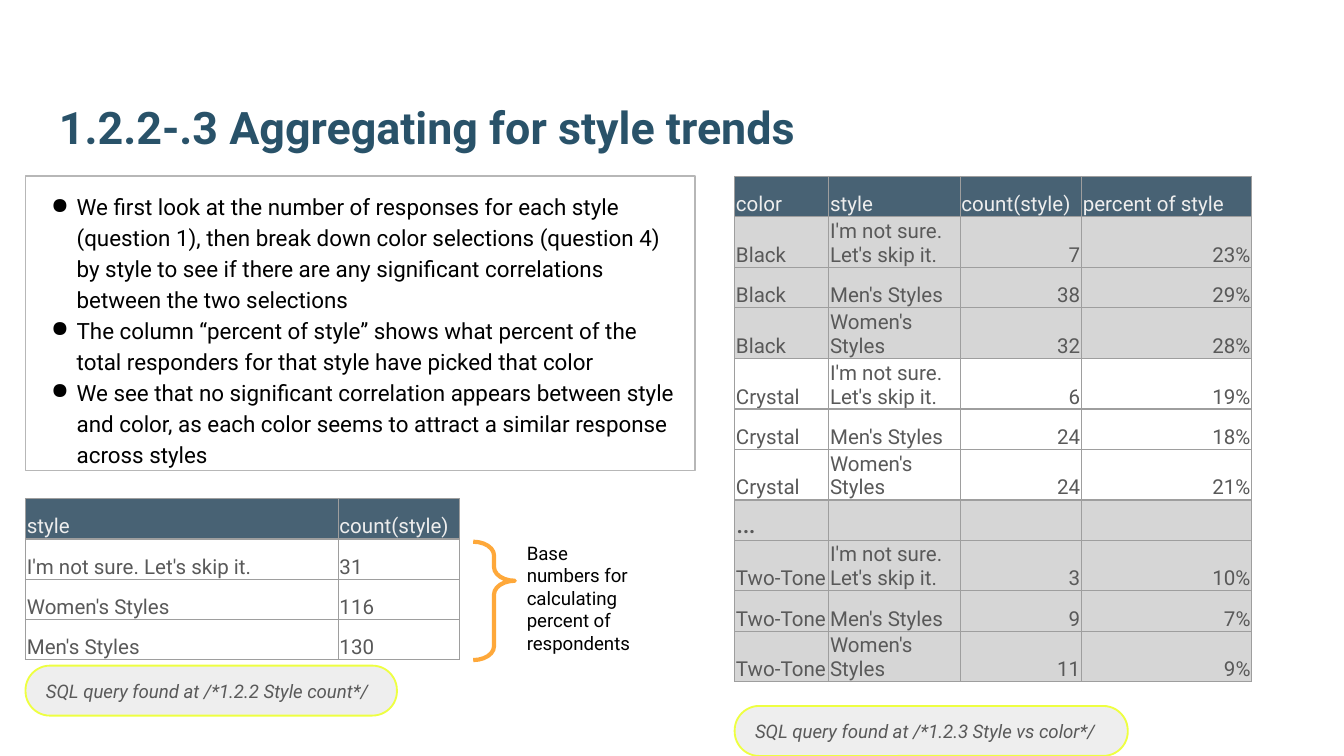
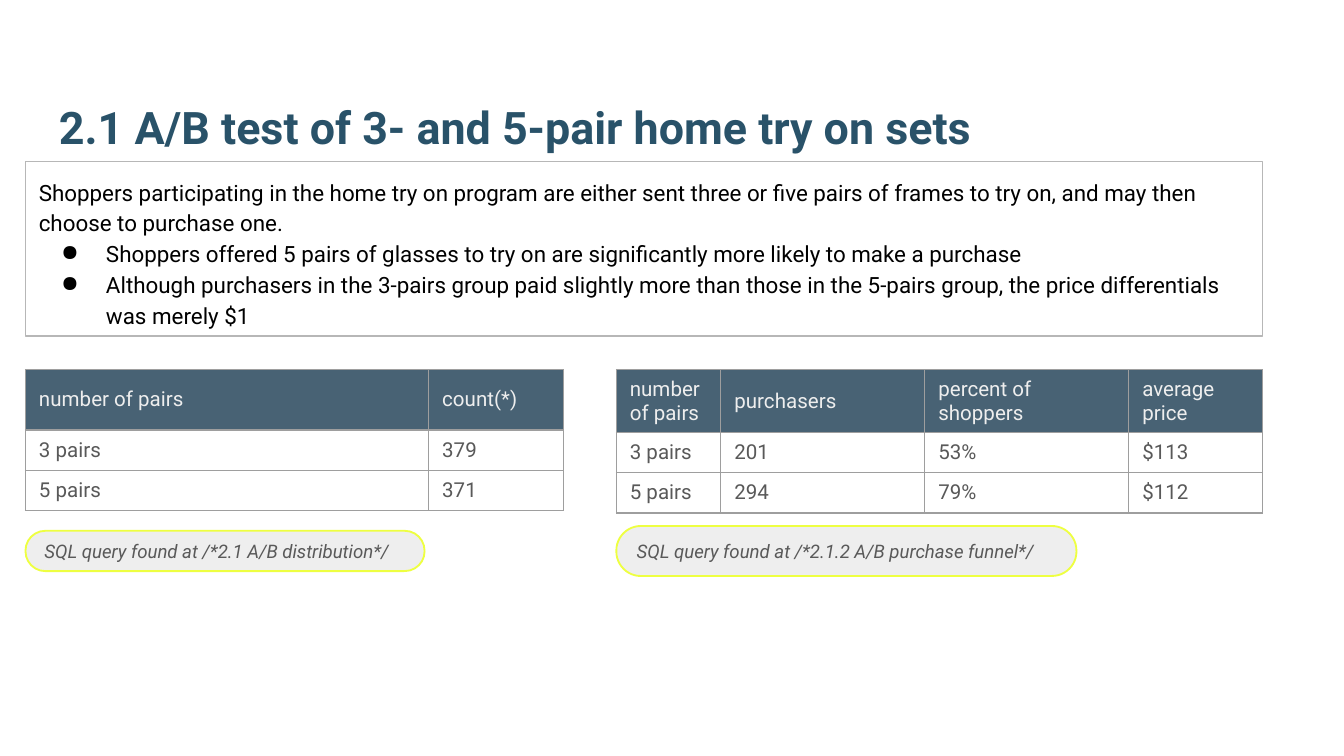
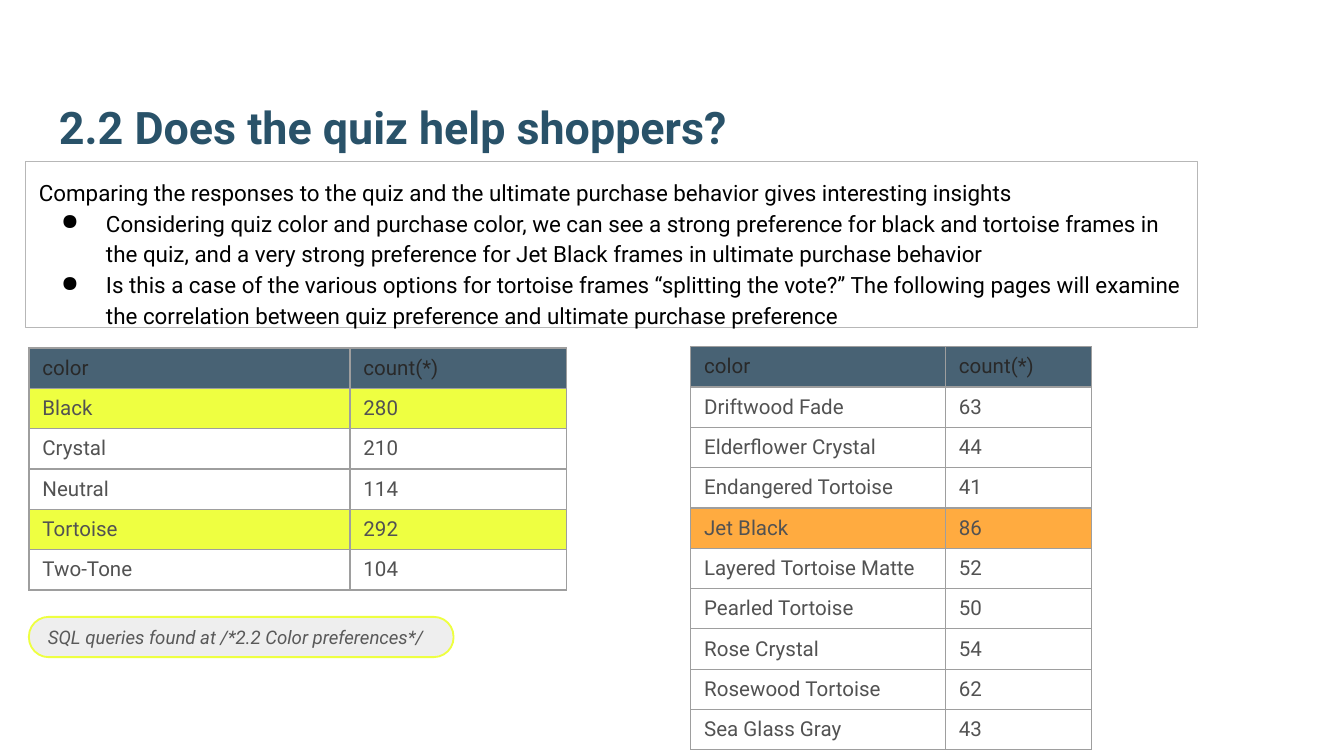
from lxml import etree
from pptx import Presentation
from pptx.dml.color import RGBColor
from pptx.enum.shapes import MSO_SHAPE
from pptx.enum.text import MSO_ANCHOR, PP_ALIGN
from pptx.oxml.ns import qn
from pptx.util import Pt

RECTANGLE = MSO_SHAPE.RECTANGLE
ROUNDED = MSO_SHAPE.ROUNDED_RECTANGLE
BRACE = MSO_SHAPE.RIGHT_BRACE
TOP, MIDDLE, BOTTOM = MSO_ANCHOR.TOP, MSO_ANCHOR.MIDDLE, MSO_ANCHOR.BOTTOM
LEFT, RIGHT = PP_ALIGN.LEFT, PP_ALIGN.RIGHT

# Shared look
FONT = "Roboto"
TITLE_BLUE = "295269"
HEADER_BLUE = "204056"
HEADER_OPACITY = "82000"
BLACK = "000000"
TEXT_GRAY = "595959"
DARK_GRAY = "525252"
HEADER_DARK = "292929"
PALE_GRAY = "EEEEEE"
BAND_GRAY = "D6D6D6"
BOX_GRAY = "B7B7B7"
GRID_GRAY = "9E9E9E"
YELLOW = "EEFF41"
ORANGE = "FFAB40"
BRACE_ORANGE = "FEA83A"

MARGIN = 13.7
ROW_HEIGHT = 21.6
TIGHT = (0.7, 0.7, 0.7, 0)
NORMAL = (7.2, 3.6, 7.2, 3.6)
ROOMY = (7.2, 7.2, 7.2, 7.2)


def rgb(color):
    return RGBColor.from_string(color)


def set_margins(target, margins):
    (target.margin_left, target.margin_top,
     target.margin_right, target.margin_bottom) = map(Pt, margins)


def style_paragraph(paragraph, size, color, bold=False, italic=False):
    font = paragraph.font
    font.name, font.size = FONT, Pt(size)
    font.bold, font.italic = bold, italic
    font.color.rgb = rgb(color)


def add_bullet(paragraph, indent, hanging):
    properties = paragraph._p.get_or_add_pPr()
    properties.set("marL", str(Pt(indent)))
    properties.set("indent", str(-Pt(hanging)))
    bullet_color = etree.SubElement(properties, qn("a:buClr"))
    etree.SubElement(bullet_color, qn("a:srgbClr"), val=BLACK)
    etree.SubElement(properties, qn("a:buChar"), char="●")


def prepare_frame(shape, margins, anchor):
    frame = shape.text_frame
    frame.word_wrap = True
    frame.vertical_anchor = anchor
    set_margins(frame, margins)
    return frame


def add_text(slide, bounds, text, size, color, margins, anchor=TOP, bold=False):
    box = slide.shapes.add_textbox(*map(Pt, bounds))
    paragraph = prepare_frame(box, margins, anchor).paragraphs[0]
    paragraph.text = text
    style_paragraph(paragraph, size, color, bold)


def add_outlined(slide, kind, bounds, line, width, fill=None):
    shape = slide.shapes.add_shape(kind, *map(Pt, bounds))
    shape.shadow.inherit = False
    shape.line.color.rgb = rgb(line)
    shape.line.width = Pt(width)
    if fill:
        shape.fill.solid()
        shape.fill.fore_color.rgb = rgb(fill)
    else:
        shape.fill.background()
    return shape


def add_body(slide, bounds, bullets, intro=None, indent=36, hanging=24, left_margin=7.2):
    box = add_outlined(slide, RECTANGLE, bounds, BOX_GRAY, 0.75)
    frame = prepare_frame(box, (left_margin, 7.2, 7.2, 7.2), TOP)
    lines = ([intro] if intro else []) + bullets
    for index, text in enumerate(lines):
        paragraph = frame.add_paragraph() if index else frame.paragraphs[0]
        paragraph.text = text
        paragraph.alignment = LEFT
        if text != intro:
            add_bullet(paragraph, indent, hanging)
        paragraph.line_spacing = 1.15
        style_paragraph(paragraph, 12, BLACK)


def add_query_note(slide, bounds, text):
    pill = add_outlined(slide, ROUNDED, bounds, YELLOW, 1, PALE_GRAY)
    pill.adjustments[0] = 0.49
    paragraph = prepare_frame(pill, NORMAL, MIDDLE).paragraphs[0]
    paragraph.text = text
    paragraph.alignment = LEFT
    style_paragraph(paragraph, 10, TEXT_GRAY, italic=True)


def add_borders(cell):
    properties = cell._tc.get_or_add_tcPr()
    for side in ("lnL", "lnR", "lnT", "lnB"):
        line = etree.SubElement(properties, qn("a:" + side), w=str(Pt(0.75)))
        fill = etree.SubElement(line, qn("a:solidFill"))
        etree.SubElement(fill, qn("a:srgbClr"), val=GRID_GRAY)


def fill_cell(cell, color, opacity=None):
    if color is None:
        cell.fill.background()
        return
    cell.fill.solid()
    cell.fill.fore_color.rgb = rgb(color)
    if opacity:
        swatch = cell._tc.tcPr.find(qn("a:solidFill")).find(qn("a:srgbClr"))
        etree.SubElement(swatch, qn("a:alpha"), val=opacity)


def add_table(slide, left, top, widths, rows, header_color=PALE_GRAY,
              text_color=TEXT_GRAY, header_height=ROW_HEIGHT, row_fills=None,
              margins=NORMAL, anchor=MIDDLE, right_columns=()):
    heights = [header_height] + [ROW_HEIGHT] * (len(rows) - 1)
    frame = slide.shapes.add_table(len(rows), len(widths), Pt(left), Pt(top),
                                   Pt(sum(widths)), Pt(sum(heights)))
    table = frame.table
    for column, width in zip(table.columns, widths):
        column.width = Pt(width)
    for row_index, values in enumerate(rows):
        table.rows[row_index].height = Pt(heights[row_index])
        for column_index, value in enumerate(values):
            cell = table.cell(row_index, column_index)
            set_margins(cell, margins)
            cell.vertical_anchor = anchor
            add_borders(cell)
            paragraph = cell.text_frame.paragraphs[0]
            paragraph.text = value
            if row_index == 0:
                fill_cell(cell, HEADER_BLUE, HEADER_OPACITY)
            else:
                fill_cell(cell, (row_fills or {}).get(row_index))
                if column_index in right_columns:
                    paragraph.alignment = RIGHT
            style_paragraph(paragraph, 16 if value == "…" else 11,
                            text_color if row_index else header_color)


def add_titled_slide(presentation, title):
    slide = presentation.slides.add_slide(presentation.slide_layouts[6])
    add_text(slide, (24.5, 23, 671, 66.2), title, 24, TITLE_BLUE, ROOMY, BOTTOM, bold=True)
    return slide


def build_style_trends(presentation):
    slide = add_titled_slide(presentation, "1.2.2-.3 Aggregating for style trends")
    add_body(slide, (MARGIN, 94.3, 358.6, 157.7), [
        "We first look at the number of responses for each style (question 1), then break down "
        "color selections (question 4) by style to see if there are any significant "
        "correlations between the two selections",
        "The column “percent of style” shows what percent of the total responders for that "
        "style have picked that color",
        "We see that no significant correlation appears between style and color, as each color "
        "seems to attract a similar response across styles",
    ], indent=13.7, hanging=13.7, left_margin=13.7)

    unsure, men, women = "I'm not sure. Let's skip it.", "Men's Styles", "Women's Styles"
    add_table(slide, MARGIN, 267.1, (167.5, 65), [
        ("style", "count(style)"),
        (unsure, "31"),
        (women, "116"),
        (men, "130"),
    ], margins=TIGHT, anchor=BOTTOM)
    add_table(slide, 393.6, 94.5, (50.4, 70.4, 65, 91.3), [
        ("color", "style", "count(style)", "percent of style"),
        ("Black", unsure, "7", "23%"),
        ("Black", men, "38", "29%"),
        ("Black", women, "32", "28%"),
        ("Crystal", unsure, "6", "19%"),
        ("Crystal", men, "24", "18%"),
        ("Crystal", women, "24", "21%"),
        ("…", "", "", ""),
        ("Two-Tone", unsure, "3", "10%"),
        ("Two-Tone", men, "9", "7%"),
        ("Two-Tone", women, "11", "9%"),
    ], row_fills=dict.fromkeys((1, 2, 3, 7, 8, 9, 10), BAND_GRAY),
        margins=TIGHT, anchor=BOTTOM, right_columns=(2, 3))

    # Brace that marks the base numbers
    brace = add_outlined(slide, BRACE, (253.5, 290.2, 22.3, 63.4), BRACE_ORANGE, 2.25)
    brace.adjustments[0] = brace.adjustments[1] = 0.33
    add_text(slide, (282.2, 290.2, 56.5, 60.5),
             "Base numbers for calculating percent of respondents", 10, BLACK, (0, 0, 0, 0))

    add_query_note(slide, (MARGIN, 356.6, 199, 26.8),
                   "SQL query found at /*1.2.2 Style count*/")
    add_query_note(slide, (393.6, 378.2, 210.6, 26.8),
                   "SQL query found at /*1.2.3 Style vs color*/")


def build_pair_test(presentation):
    slide = add_titled_slide(presentation, "2.1 A/B test of 3- and 5-pair home try on sets")
    add_body(slide, (MARGIN, 86.4, 662.6, 93.6), [
        "Shoppers offered 5 pairs of glasses to try on are significantly more likely to make "
        "a purchase",
        "Although purchasers in the 3-pairs group paid slightly more than those in the 5-pairs "
        "group, the price differentials was merely $1",
    ], intro="Shoppers participating in the home try on program are either sent three or five "
             "pairs of frames to try on, and may then choose to purchase one.")
    add_table(slide, MARGIN, 198, (216, 72), [
        ("number of pairs", "count(*)"),
        ("3 pairs", "379"),
        ("5 pairs", "371"),
    ], header_height=32.4)
    add_query_note(slide, (MARGIN, 284.4, 213.8, 21.6),
                   "SQL query found at /*2.1 A/B distribution*/")
    add_table(slide, 330.2, 198, (56, 109.3, 109.3, 71.5), [
        ("number of pairs", "purchasers", "percent of shoppers", "average price"),
        ("3 pairs", "201", "53%", "$113"),
        ("5 pairs", "294", "79%", "$112"),
    ], header_height=32.4)
    add_query_note(slide, (330.2, 281.8, 246.5, 26.8),
                   "SQL query found at /*2.1.2 A/B purchase funnel*/")


def build_quiz_help(presentation):
    slide = add_titled_slide(presentation, "2.2 Does the quiz help shoppers?")
    add_body(slide, (MARGIN, 86.4, 627.8, 89.2), [
        "Considering quiz color and purchase color, we can see a strong preference for black "
        "and tortoise frames in the quiz, and a very strong preference for Jet Black frames in "
        "ultimate purchase behavior",
        "Is this a case of the various options for tortoise frames “splitting the vote?” The "
        "following pages will examine the correlation between quiz preference and ultimate "
        "purchase preference",
    ], intro="Comparing the responses to the quiz and the ultimate purchase behavior gives "
             "interesting insights")
    header = ("color", "count(*)")
    add_table(slide, 15.5, 186.5, (172, 116), [
        header,
        ("Black", "280"),
        ("Crystal", "210"),
        ("Neutral", "114"),
        ("Tortoise", "292"),
        ("Two-Tone", "104"),
    ], HEADER_DARK, DARK_GRAY, row_fills={1: YELLOW, 4: YELLOW})
    add_table(slide, 370, 185.7, (136.5, 78.3), [
        header,
        ("Driftwood Fade", "63"),
        ("Elderflower Crystal", "44"),
        ("Endangered Tortoise", "41"),
        ("Jet Black", "86"),
        ("Layered Tortoise Matte", "52"),
        ("Pearled Tortoise", "50"),
        ("Rose Crystal", "54"),
        ("Rosewood Tortoise", "62"),
        ("Sea Glass Gray", "43"),
    ], HEADER_DARK, DARK_GRAY, row_fills={4: ORANGE})
    add_query_note(slide, (15.5, 330.5, 227.5, 21.6),
                   "SQL queries found at /*2.2 Color preferences*/")


def main():
    presentation = Presentation()
    presentation.slide_width, presentation.slide_height = Pt(720), Pt(405)
    build_style_trends(presentation)
    build_pair_test(presentation)
    build_quiz_help(presentation)
    presentation.save("out.pptx")


if __name__ == "__main__":
    main()
